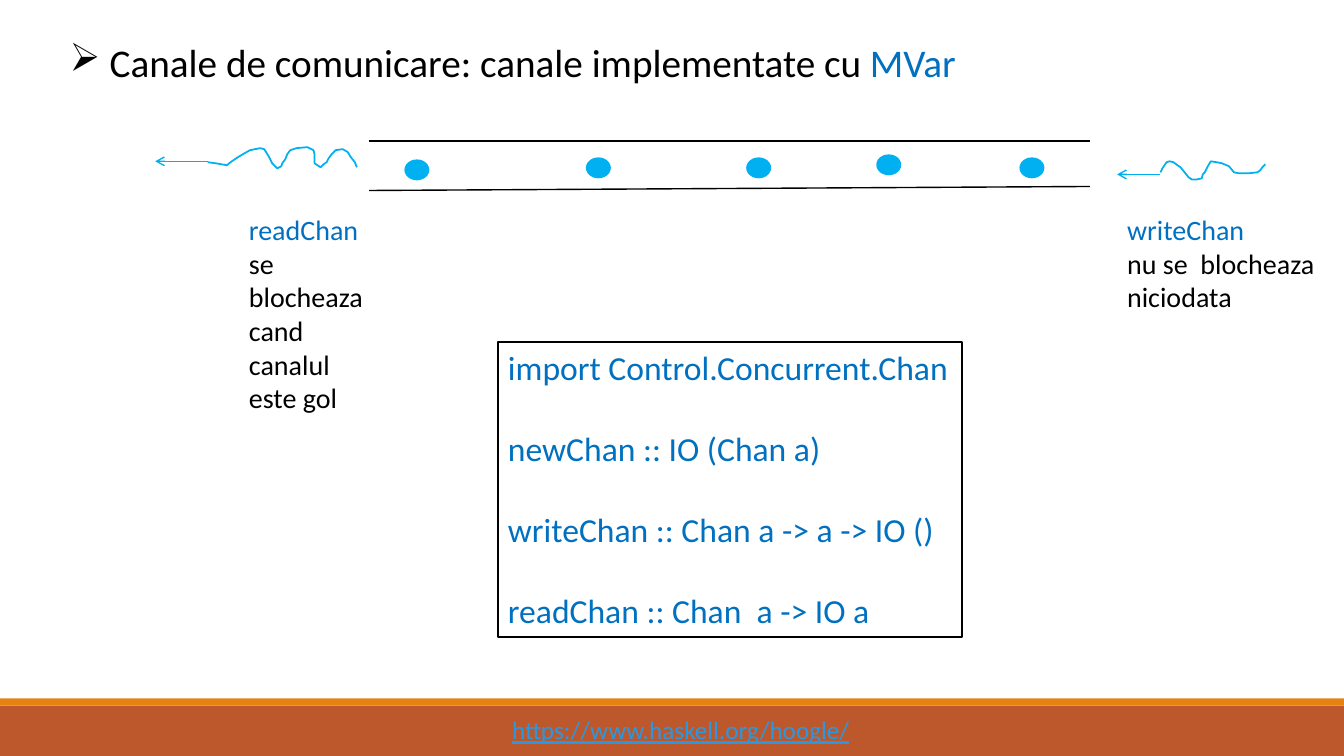
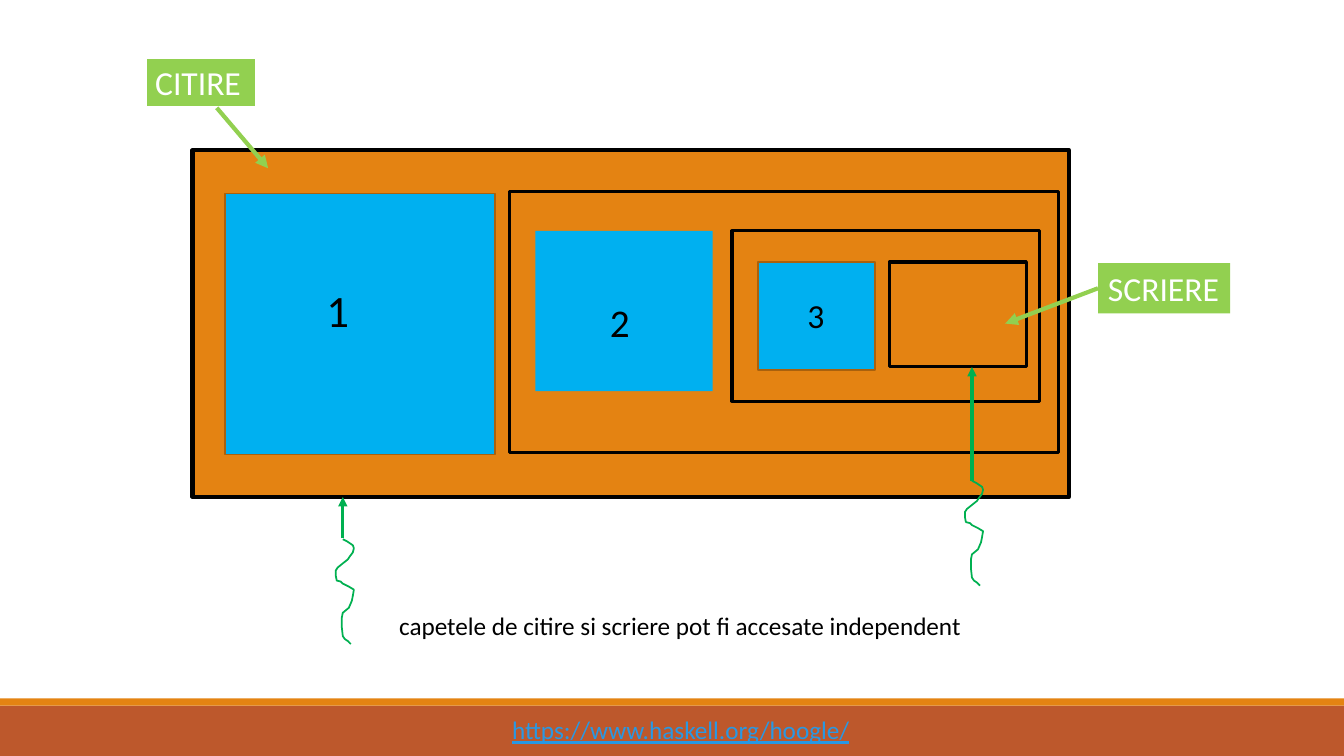
from dataclasses import dataclass
from typing import Optional

from lxml import etree
from pptx import Presentation
from pptx.dml.color import RGBColor
from pptx.enum.shapes import MSO_CONNECTOR, MSO_SHAPE
from pptx.enum.text import MSO_ANCHOR, MSO_AUTO_SIZE, PP_ALIGN
from pptx.oxml.ns import qn
from pptx.shapes.autoshape import Shape
from pptx.slide import Slide, SlideLayout
from pptx.util import Inches, Pt

RECT, OVAL = MSO_SHAPE.RECTANGLE, MSO_SHAPE.OVAL
STRAIGHT = MSO_CONNECTOR.STRAIGHT
LEFT, TOP = PP_ALIGN.LEFT, MSO_ANCHOR.TOP
FIT, FIXED = MSO_AUTO_SIZE.SHAPE_TO_FIT_TEXT, MSO_AUTO_SIZE.NONE

BLACK = RGBColor(0x00, 0x00, 0x00)
WHITE = RGBColor(0xFF, 0xFF, 0xFF)
RUST = RGBColor(0xBD, 0x58, 0x2C)
ORANGE = RGBColor(0xE4, 0x83, 0x12)
BROWN = RGBColor(0xA9, 0x61, 0x0D)
LINK = RGBColor(0x29, 0x98, 0xE3)
BLUE = RGBColor(0x00, 0x70, 0xC0)
SKY = RGBColor(0x00, 0xB0, 0xF0)
LIME = RGBColor(0x92, 0xD0, 0x50)
GREEN = RGBColor(0x00, 0xB0, 0x50)
FONT = "Calibri"

Point = tuple[float, float]
Line = tuple[str, RGBColor]


@dataclass
class Box:
    left: float
    top: float
    width: float
    height: float
    fill: Optional[RGBColor] = None
    edge: Optional[RGBColor] = None
    weight: float = 1.25

    def frame(self) -> list[int]:
        return [Inches(v) for v in (self.left, self.top, self.width, self.height)]


@dataclass
class Label:
    box: Box
    lines: list[Line]
    size: float
    wrap: bool = False


@dataclass
class Arrow:
    start: Point
    end: Point
    color: RGBColor
    weight: float
    head: str = ""


# Offsets of the writing thread from the foot of its arrow
WAVE: list[Point] = [
    (0, 0), (0.02, -0.04), (0.04, -0.07), (0.06, -0.1), (0.09, -0.11),
    (0.13, -0.1), (0.17, -0.07), (0.2, -0.05), (0.24, 0), (0.28, 0.05),
    (0.31, 0.07), (0.36, 0.07), (0.41, 0.06), (0.42, 0.02), (0.44, 0),
    (0.47, -0.06), (0.5, -0.11), (0.56, -0.1), (0.61, -0.09), (0.68, -0.06),
    (0.73, 0), (0.78, 0.01), (0.87, 0.01), (0.96, 0), (0.99, -0.02),
    (1.01, -0.05), (1.04, -0.08),
]
READ: list[Point] = [
    (3.54, 1.66), (3.52, 1.61), (3.48, 1.56), (3.45, 1.51), (3.4, 1.48),
    (3.33, 1.49), (3.29, 1.53), (3.26, 1.57), (3.24, 1.61), (3.21, 1.63),
    (3.18, 1.66), (3.12, 1.62), (3.12, 1.53), (3.11, 1.49), (3.05, 1.46),
    (2.94, 1.47), (2.88, 1.49), (2.85, 1.53), (2.83, 1.58), (2.8, 1.62),
    (2.79, 1.65), (2.75, 1.67), (2.7, 1.62), (2.67, 1.56), (2.64, 1.51),
    (2.62, 1.48), (2.58, 1.47), (2.48, 1.49), (2.41, 1.53), (2.36, 1.56),
    (2.3, 1.6), (2.25, 1.64), (2.14, 1.62), (2.06, 1.61),
]


def style(shape: Shape, box: Box) -> None:
    shape.shadow.inherit = False
    if box.fill is None:
        shape.fill.background()
    else:
        shape.fill.solid()
        shape.fill.fore_color.rgb = box.fill
    if box.edge is None:
        shape.line.fill.background()
    else:
        shape.line.color.rgb = box.edge
        shape.line.width = Pt(box.weight)


def add_box(slide: Slide, box: Box, kind: MSO_SHAPE = RECT) -> Shape:
    shape = slide.shapes.add_shape(kind, *box.frame())
    style(shape, box)
    return shape


def add_label(slide: Slide, label: Label) -> Shape:
    """Write one paragraph per line, in a filled shape or a plain text box."""
    if label.box.fill is None:
        shape = slide.shapes.add_textbox(*label.box.frame())
    else:
        shape = add_box(slide, label.box)
    frame = shape.text_frame
    frame.word_wrap = label.wrap
    frame.auto_size = FIT
    frame.vertical_anchor = TOP
    frame.text = "\n".join(text for text, _ in label.lines)
    for par, (_, color) in zip(frame.paragraphs, label.lines):
        par.alignment = LEFT
        font = par.runs[0].font
        font.name, font.size = FONT, Pt(label.size)
        font.color.rgb = color
    return shape


def add_arrow(slide: Slide, arrow: Arrow) -> None:
    ends = [Inches(v) for v in (*arrow.start, *arrow.end)]
    line = slide.shapes.add_connector(STRAIGHT, *ends)
    line.line.color.rgb = arrow.color
    line.line.width = Pt(arrow.weight)
    props = line.element.spPr
    if arrow.head:
        tail = etree.SubElement(props.find(qn("a:ln")), qn("a:tailEnd"))
        tail.set("type", arrow.head)
    etree.SubElement(props, qn("a:effectLst"))


def add_thread(slide: Slide, points: list[Point], color: RGBColor) -> None:
    spots = [(Inches(x), Inches(y)) for x, y in points]
    pen = slide.shapes.build_freeform(*spots[0])
    pen.add_line_segments(spots[1:], close=False)
    style(pen.convert_to_shape(), Box(0, 0, 0, 0, edge=color))


def wave(x: float, y: float, down: bool = False) -> list[Point]:
    """Place the writing thread at a point, turned a quarter if it hangs down."""
    if down:
        return [(x - dy, y + dx) for dx, dy in WAVE]
    return [(x + dx, y + dy) for dx, dy in WAVE]


def add_footer(slide: Slide, layout: SlideLayout) -> None:
    """Draw the bands and address, then move them to the shared layout."""
    for holder in list(layout.placeholders)[1:]:
        layout.shapes.element.remove(holder.element)
    address = [("https://www.haskell.org/hoogle/", LINK)]
    parts = [
        add_box(slide, Box(0, 7, 13.33, 0.5, RUST)),
        add_box(slide, Box(0, 6.93, 13.33, 0.07, ORANGE)),
        add_label(slide, Label(Box(4.98, 7.04, 3.59, 0.4), address, 18)),
    ]
    parts[-1].text_frame.paragraphs[0].runs[0].font.underline = True
    for part in parts:
        layout.shapes.element.append(part.element)


def set_title(slide: Slide) -> None:
    title = slide.shapes.title
    title.left, title.top, title.width, title.height = Box(0.59, 0.33, 9.09, 0.57).frame()
    frame = title.text_frame
    frame.auto_size, frame.word_wrap, frame.vertical_anchor = FIXED, False, TOP
    par = frame.paragraphs[0]
    par.text = " Canale de comunicare: canale implementate cu "
    par.add_run().text = "MVar"
    par.alignment = LEFT
    for run, color in zip(par.runs, (BLACK, BLUE)):
        run.font.name, run.font.size = FONT, Pt(28)
        run.font.color.rgb = color
    props = par._p.get_or_add_pPr()
    props.set("marL", str(Inches(0.31)))
    props.set("indent", str(-Inches(0.31)))
    etree.SubElement(props, qn("a:buChar")).set("char", "➢")


def draw_channel(slide: Slide) -> None:
    set_title(slide)
    for arrow in (
        Arrow((3.66, 1.4), (10.81, 1.4), BLACK, 1),
        Arrow((3.66, 1.89), (10.81, 1.85), BLACK, 1),
        Arrow((11.51, 1.73), (11.08, 1.73), SKY, 1, "arrow"),
        Arrow((2.06, 1.6), (1.54, 1.6), SKY, 1, "arrow"),
    ):
        add_arrow(slide, arrow)
    for x, y in ((4.02, 1.59), (5.82, 1.57), (7.41, 1.57), (8.7, 1.54), (10.12, 1.57)):
        add_box(slide, Box(x, y, 0.23, 0.19, SKY, SKY), OVAL)
    add_thread(slide, READ, SKY)
    add_thread(slide, wave(11.51, 1.71), SKY)

    code = [
        "import Control.Concurrent.Chan",
        "newChan :: IO (Chan a)",
        "writeChan :: Chan a -> a -> IO ()",
        "readChan :: Chan  a -> IO a",
    ]
    panel = Box(4.94, 3.39, 4.6, 2.93, WHITE, BLACK)
    shape = add_label(slide, Label(panel, [(text, BLUE) for text in code], 24))
    for par in shape.text_frame.paragraphs[1:]:
        par.space_before = Pt(29)

    reader = [("readChan", BLUE), ("se blocheaza cand canalul este gol", BLACK)]
    writer = [("writeChan", BLUE), ("nu se  blocheaza", BLACK), ("niciodata", BLACK)]
    add_label(slide, Label(Box(2.37, 2.06, 1.52, 2.12), reader, 20, True))
    add_label(slide, Label(Box(11.08, 2.06, 2.08, 1.41), writer, 20))


def draw_nesting(slide: Slide) -> None:
    title = slide.shapes.title
    title.element.getparent().remove(title.element)
    for box in (
        Box(1.91, 1.49, 8.69, 3.44, ORANGE, BLACK, 3),
        Box(2.23, 1.92, 2.68, 2.59, SKY, BROWN),
        Box(5.05, 1.9, 5.45, 2.59, ORANGE, BLACK, 2.25),
        Box(5.31, 2.29, 1.76, 1.59, SKY),
        Box(7.26, 2.29, 3.05, 1.69, ORANGE, BLACK, 2.25),
        Box(7.52, 2.6, 1.16, 1.07, SKY, BROWN),
        Box(8.82, 2.6, 1.36, 1.04, ORANGE, BLACK, 2.25),
    ):
        add_box(slide, box)

    note = "capetele de citire si scriere pot fi accesate independent"
    for label in (
        Label(Box(1.44, 0.57, 1.1, 0.5, LIME, WHITE, 2), [("CITIRE", WHITE)], 24, True),
        Label(Box(10.89, 2.61, 1.31, 0.5, LIME), [("SCRIERE", WHITE)], 24),
        Label(Box(3.14, 2.76, 0.43, 0.64), [("1", BLACK)], 32),
        Label(Box(5.95, 2.91, 0.4, 0.57), [("2", BLACK)], 28),
        Label(Box(7.91, 2.88, 0.37, 0.5), [("3", BLACK)], 24),
        Label(Box(3.86, 6.01, 5.88, 0.4), [(note, BLACK)], 18),
    ):
        add_label(slide, label)

    for arrow in (
        Arrow((2.15, 1.07), (2.66, 1.67), LIME, 3, "triangle"),
        Arrow((10.89, 2.86), (9.97, 3.21), LIME, 3, "triangle"),
        Arrow((3.4, 5.34), (3.4, 4.93), GREEN, 2.25, "triangle"),
        Arrow((9.64, 4.77), (9.64, 3.64), GREEN, 2.25, "triangle"),
    ):
        add_arrow(slide, arrow)
    for x, y in ((3.4, 5.35), (9.64, 4.77)):
        add_thread(slide, wave(x, y, down=True), GREEN)


def main() -> None:
    deck = Presentation()
    deck.slide_width, deck.slide_height = Inches(13.33), Inches(7.5)
    layout = deck.slide_layouts[5]
    first, second = (deck.slides.add_slide(layout) for _ in range(2))
    add_footer(first, layout)
    draw_channel(first)
    draw_nesting(second)
    deck.save("out.pptx")


if __name__ == "__main__":
    main()
